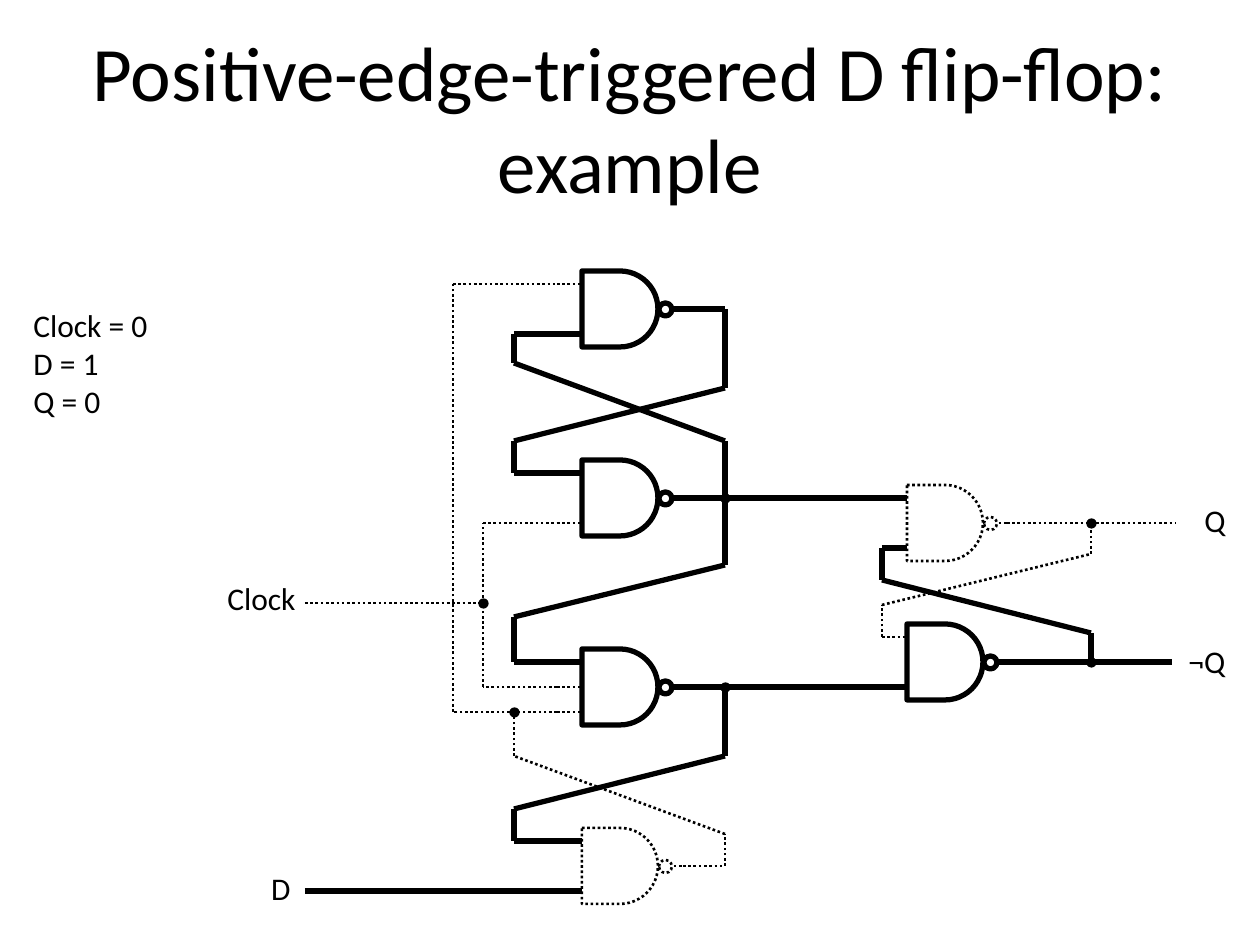
import pptx
import pptx.util
import pptx.dml.color
import pptx.enum.dml
import pptx.enum.shapes
import pptx.enum.text
import pptx.oxml.ns
import lxml.etree

SCALE = 914400 // 126
BLACK, WHITE = "000000", "FFFFFF"
FONT = "Calibri"
ALIGN = pptx.enum.text.PP_ALIGN
ANCHOR = pptx.enum.text.MSO_ANCHOR
SHAPE = pptx.enum.shapes.MSO_SHAPE


def color(value):
    return pptx.dml.color.RGBColor.from_string(value)


def draw(shapes, kind, box, high=True, fill=None, width=None):
    """Draw a line (kind None, box = two end points) or a preset shape.

    High signals are thick and solid, low signals thin and dotted.
    """
    lengths = [value * SCALE for value in box]
    if kind is None:
        shape = shapes.add_connector(pptx.enum.shapes.MSO_CONNECTOR.STRAIGHT, *lengths)
        lxml.etree.SubElement(shape._element.spPr, pptx.oxml.ns.qn("a:effectLst"))
    else:
        shape = shapes.add_shape(kind, *lengths)
        shape.shadow.inherit = False
        if fill:
            shape.fill.solid()
            shape.fill.fore_color.rgb = color(fill)
        else:
            shape.fill.background()
    shape.line.color.rgb = color(BLACK)
    shape.line.width = pptx.util.Pt(width or (3 if high else 1.5))
    if not high:
        shape.line.dash_style = pptx.enum.dml.MSO_LINE.ROUND_DOT


presentation = pptx.Presentation()
presentation.slide_width = 1260 * SCALE
presentation.slide_height = 945 * SCALE
slide = presentation.slides.add_slide(presentation.slide_layouts[5])

# Title
title = slide.shapes.title
title.left, title.top, title.width, title.height = [v * SCALE for v in (63, 38, 1134, 158)]
title.text_frame.text = "Positive-edge-triggered D flip-flop: example"
title.text_frame.vertical_anchor = ANCHOR.MIDDLE
paragraph = title.text_frame.paragraphs[0]
paragraph.alignment = ALIGN.CENTER
paragraph.font.size = pptx.util.Pt(44)
paragraph.font.name = FONT
paragraph.font.color.rgb = color(BLACK)

# NAND gates: left, top, output level, levels of the inputs by height
GATE = 76
UPPER, MIDDLE, LOWER = 13, 38, 63
LEAD = 25
gates = [
    (582, 649, True, {UPPER: True, LOWER: False, MIDDLE: False}),
    (582, 828, False, {UPPER: True, LOWER: True}),
    (582, 460, True, {UPPER: True, LOWER: False}),
    (582, 271, True, {UPPER: False, LOWER: True}),
    (907, 624, True, {UPPER: False, LOWER: True}),
    (907, 485, False, {UPPER: True, LOWER: True}),
]
for left, top, output, inputs in gates:
    shapes = slide.shapes.add_group_shape().shapes
    right, middle = left + GATE, top + MIDDLE
    draw(shapes, SHAPE.FLOWCHART_DELAY, (left, top, GATE, GATE), output)
    draw(shapes, None, (right, middle, right + LEAD, middle), output)
    for offset, high in inputs.items():
        draw(shapes, None, (left - LEAD, top + offset, left, top + offset), high)
    draw(shapes, SHAPE.OVAL, (right + 1, middle - 6, 13, 13), output, WHITE)

# Wires: level and corner points
wires = [
    (True, [(305, 891), (557, 891)]),
    (True, [(557, 841), (514, 841), (514, 809), (725, 756), (725, 687)]),
    (True, [(683, 687), (882, 687)]),
    (False, [(683, 866), (725, 866), (725, 834), (514, 756), (514, 712)]),
    (False, [(557, 712), (453, 712), (453, 284), (557, 284)]),
    (False, [(557, 687), (483, 687), (483, 523), (557, 523)]),
    (True, [(557, 473), (514, 473), (514, 441), (725, 388), (725, 309), (683, 309)]),
    (True, [(557, 662), (514, 662), (514, 617), (725, 565), (725, 441),
            (514, 363), (514, 334), (557, 334)]),
    (True, [(683, 498), (882, 498)]),
    (False, [(305, 603), (483, 603)]),
    (False, [(882, 637), (882, 605), (1091, 554), (1091, 523)]),
    (False, [(1007, 523), (1096, 523), (1176, 523)]),
    (True, [(882, 548), (882, 580), (1091, 633), (1091, 662)]),
    (True, [(1003, 662), (1091, 662), (1172, 662)]),
]
for high, points in wires:
    for start, end in zip(points, points[1:]):
        draw(slide.shapes, None, start + end, high)

# Junction dots
for x, y in [(483, 603), (514, 712), (725, 687), (725, 498), (1091, 523), (1091, 662)]:
    draw(slide.shapes, SHAPE.OVAL, (x - 4, y - 4, 9, 9), fill=BLACK, width=0.75)

# Signal labels and the list of states
STATES_MARGIN = 44
labels = [
    ("D", (248, 857, 55, 63), ALIGN.RIGHT, ANCHOR.MIDDLE, 6),
    ("Clock", (147, 567, 161, 63), ALIGN.RIGHT, ANCHOR.MIDDLE, 6),
    ("Q", (1183, 489, 55, 63), ALIGN.RIGHT, ANCHOR.MIDDLE, 6),
    ("¬Q", (1176, 630, 63, 63), ALIGN.LEFT, ANCHOR.MIDDLE, 6),
    ("Clock = 0\nD = 1\nQ = 0", (21, 262, 329, 198), ALIGN.LEFT, ANCHOR.TOP, STATES_MARGIN),
]
for text, box, alignment, anchor, margin in labels:
    frame = slide.shapes.add_textbox(*[v * SCALE for v in box]).text_frame
    frame.word_wrap = True
    frame.vertical_anchor = anchor
    frame.margin_top = margin * SCALE
    frame.text = text
    for paragraph in frame.paragraphs:
        paragraph.alignment = alignment
        paragraph.font.size = pptx.util.Pt(18)
        paragraph.font.name = FONT
        paragraph.font.color.rgb = color(BLACK)

presentation.save("out.pptx")
